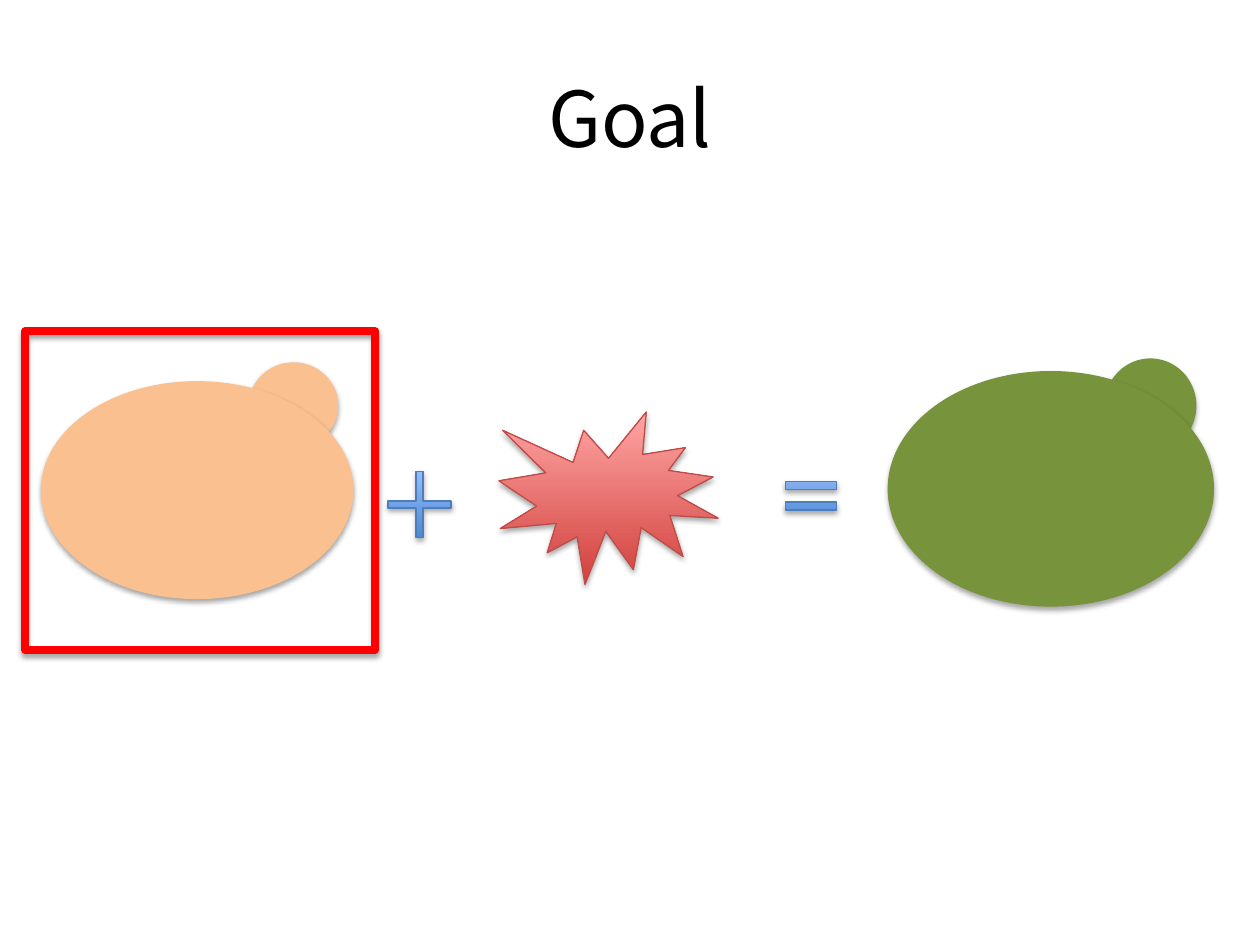
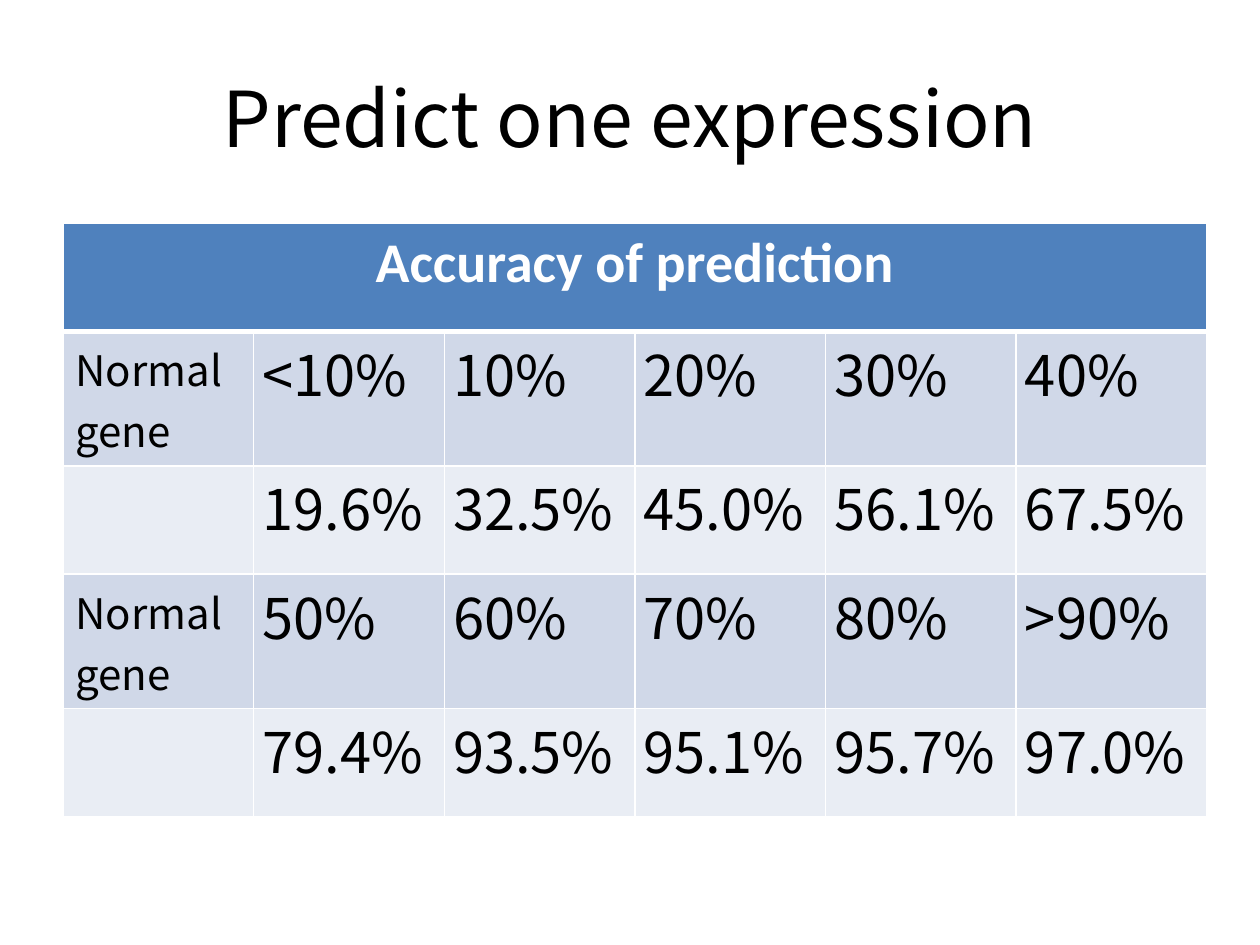
from lxml import etree
from pptx import Presentation
from pptx.dml.color import RGBColor
from pptx.enum.shapes import MSO_SHAPE
from pptx.enum.text import MSO_ANCHOR, PP_ALIGN
from pptx.oxml.ns import qn
from pptx.util import Inches, Pt

OVAL, BOX = MSO_SHAPE.OVAL, MSO_SHAPE.RECTANGLE
BURST = MSO_SHAPE.EXPLOSION1
PLUS, EQUAL = MSO_SHAPE.MATH_PLUS, MSO_SHAPE.MATH_EQUAL
CENTER, MIDDLE = PP_ALIGN.CENTER, MSO_ANCHOR.MIDDLE

COLORS = {
    "text": "000000", "white": "FFFFFF", "frame": "FF0000",
    "normal": "FAC090", "mutant": "77933C",
    "red_low": "D1403C", "red_high": "FFA6A5", "red_line": "BF4C48",
    "blue_low": "3F80CE", "blue_high": "A4C4FF", "blue_line": "4B7EBC",
    "header": "4F81BD", "band": "D0D8E8", "light": "E9EDF4",
}
FONT, HEAD_FONT = "Noto Sans CJK SC", "Calibri"
RED = ("red_low", "red_high")
BLUE = ("blue_low", "blue_high")
ROWS = [
    ["Normal gene", "<10%", "10%", "20%", "30%", "40%"],
    ["", "19.6%", "32.5%", "45.0%", "56.1%", "67.5%"],
    ["Normal gene", "50%", "60%", "70%", "80%", ">90%"],
    ["", "79.4%", "93.5%", "95.1%", "95.7%", "97.0%"],
]


def color(name):
    return RGBColor.from_string(COLORS[name])


def style(para, size, tone="text", face=FONT, bold=False):
    for run in para.runs:
        font = run.font
        font.name, font.size, font.bold = face, Pt(size), bold
        font.color.rgb = color(tone)


def add_slide(deck, title):
    slide = deck.slides.add_slide(deck.slide_layouts[5])
    head = slide.shapes.title
    head.left, head.top, head.width, head.height = map(Inches, (0.5, 0.3, 9, 1.25))
    frame = head.text_frame
    frame.text = title
    frame.vertical_anchor = MIDDLE
    frame.paragraphs[0].alignment = CENTER
    style(frame.paragraphs[0], 44)
    return slide


def add_shadow(shape):
    shape.shadow.inherit = False
    effects = shape._element.spPr.find(qn("a:effectLst"))
    outer = etree.SubElement(effects, qn("a:outerShdw"), blurRad=str(Pt(3.1)),
                             dist=str(Pt(1.8)), dir="5400000", rotWithShape="0")
    black = etree.SubElement(outer, qn("a:srgbClr"), val="000000")
    etree.SubElement(black, qn("a:alpha"), val="35000")


def add_form(slide, kind, place, fill, line, width=0.75, adjust=()):
    """Add a shadowed shape; fill is a colour name, a (bottom, top) pair or None."""
    shape = slide.shapes.add_shape(kind, *map(Inches, place))
    for index, value in enumerate(adjust):
        shape.adjustments[index] = value
    if fill is None:
        shape.fill.background()
    elif isinstance(fill, tuple):
        shape.fill.gradient()
        shape.fill.gradient_angle = 90
        for stop, name in zip(shape.fill.gradient_stops, fill):
            stop.color.rgb = color(name)
    else:
        shape.fill.solid()
        shape.fill.fore_color.rgb = color(fill)
    shape.line.color.rgb = color(line)
    shape.line.width = Pt(width)
    add_shadow(shape)


def add_yeast(slide, tone, bud, body):
    for place in (bud, body):
        add_form(slide, OVAL, place, tone, tone)


def add_borders(cell, bottom):
    props = cell._tc.get_or_add_tcPr()
    for side, width in (("L", 1), ("R", 1), ("T", 1), ("B", bottom)):
        line = etree.SubElement(props, qn(f"a:ln{side}"), w=str(Pt(width)))
        solid = etree.SubElement(line, qn("a:solidFill"))
        etree.SubElement(solid, qn("a:srgbClr"), val=COLORS["white"])


def paint(cell, tone, bottom=1):
    add_borders(cell, bottom)
    cell.fill.solid()
    cell.fill.fore_color.rgb = color(tone)


def add_grid(slide, header, rows):
    count = len(rows[0])
    place = map(Inches, (0.5, 1.77, 9.08, 4.37))
    table = slide.shapes.add_table(len(rows) + 1, count, *place).table
    for row in table.rows:
        row.height = Inches(0.86)
    for cell in table.rows[0].cells:
        paint(cell, "header", 3)
    head = table.cell(0, 0)
    head.merge(table.cell(0, count - 1))
    head.text = header
    para = head.text_frame.paragraphs[0]
    para.alignment = CENTER
    style(para, 32, "white", HEAD_FONT, True)
    for r, values in enumerate(rows, 1):
        for c, value in enumerate(values):
            cell = table.cell(r, c)
            paint(cell, "band" if r % 2 else "light", 3 if r == 0 else 1)
            if r == 1:
                cell._tc.tcPr.find(qn("a:lnT")).set("w", str(Pt(3)))
            if c:
                cell.margin_left = cell.margin_right = Inches(0.07)
                cell.margin_top = cell.margin_bottom = 0
            cell.text = value
            style(cell.text_frame.paragraphs[0], 32 if c else 24)


def main():
    deck = Presentation()
    deck.slide_width, deck.slide_height = Inches(10), Inches(7.5)

    goal = add_slide(deck, "Goal")
    add_yeast(goal, "normal", (1.98, 2.88, 0.7, 0.68), (0.33, 3.03, 2.47, 1.72))
    add_form(goal, BURST, (3.96, 3.27, 1.74, 1.37), RED, "red_line")
    add_form(goal, EQUAL, (6.16, 3.63, 0.55, 0.61), BLUE, "blue_line",
             adjust=(0.105, 0.161))
    add_form(goal, PLUS, (2.99, 3.65, 0.68, 0.71), BLUE, "blue_line",
             adjust=(0.081,))
    add_yeast(goal, "mutant", (8.77, 2.85, 0.72, 0.74), (7.05, 2.95, 2.58, 1.86))
    add_form(goal, BOX, (0.2, 2.63, 2.78, 2.53), None, "frame", 4.5)

    result = add_slide(deck, "Predict one expression")
    add_grid(result, "Accuracy of prediction", ROWS)
    deck.save("out.pptx")


if __name__ == "__main__":
    main()
